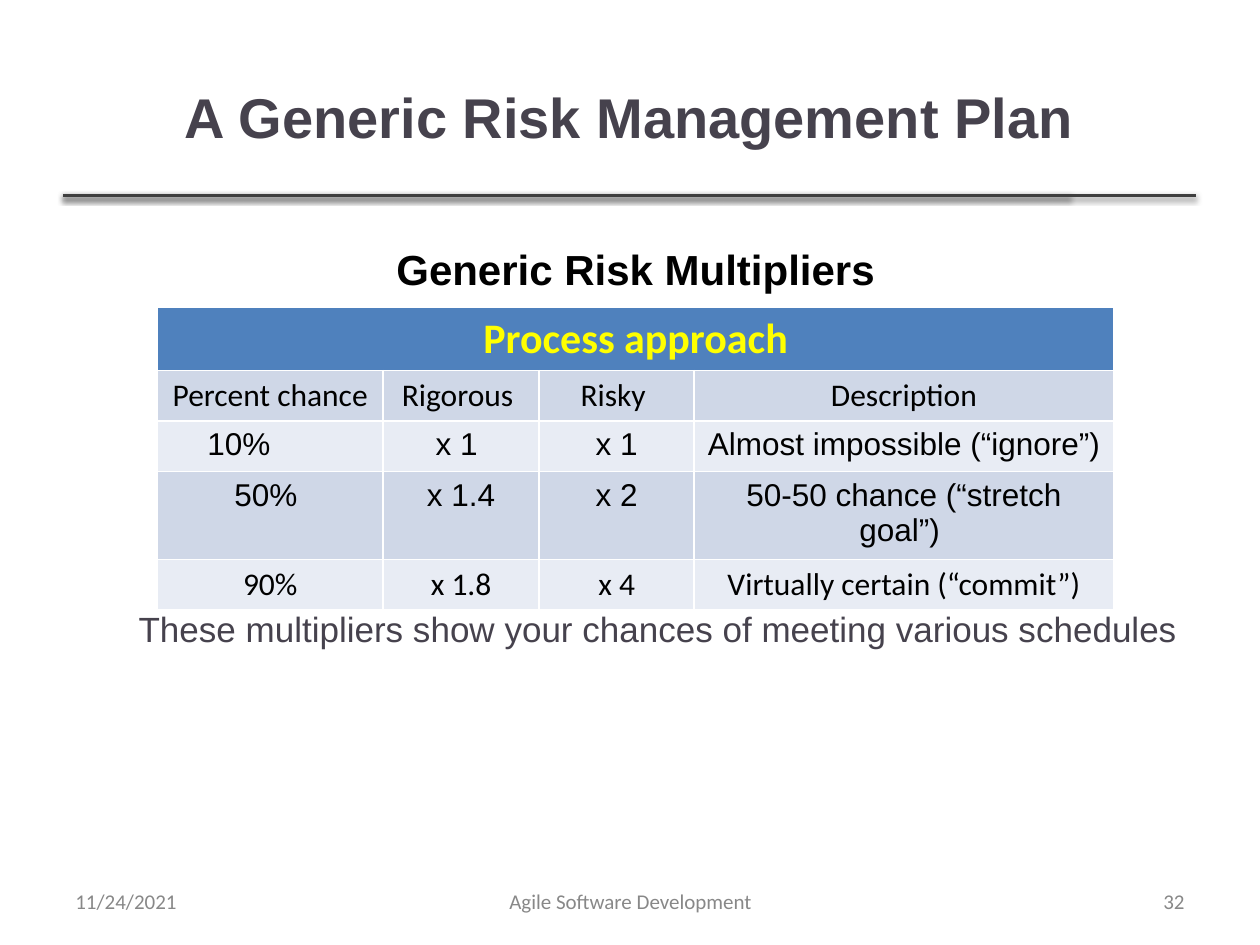
from dataclasses import dataclass

from lxml.etree import SubElement
from pptx import Presentation
from pptx.dml.color import RGBColor as Rgb
from pptx.enum.shapes import MSO_CONNECTOR as Link
from pptx.enum.text import MSO_ANCHOR as Anchor, PP_ALIGN as Align
from pptx.oxml.ns import qn
from pptx.util import Inches, Pt


@dataclass(frozen=True)
class Theme:
    ink: str = "46424D"
    black: str = "000000"
    gray: str = "888888"
    rule: str = "3F3F3F"
    gold: str = "FFFF00"
    head: str = "4F81BD"
    dark: str = "CFD7E7"
    light: str = "E8ECF4"
    sans: str = "Arial"
    body: str = "Calibri"
    title: int = 32
    sub: int = 24
    note: int = 20
    cell: int = 18
    foot: int = 12


class Deck:
    def __init__(self, theme):
        self.theme = theme
        self.file = Presentation()
        self.file.slide_width = Inches(10)
        self.file.slide_height = Inches(7.5)
        self.slide = self.file.slides.add_slide(self.file.slide_layouts[6])

    def style(self, frame, text, size, color, font, bold=False, align=Align.CENTER):
        frame.text = text
        para = frame.paragraphs[0]
        para.alignment = align
        face = para.runs[0].font
        face.name, face.size, face.bold = font, Pt(size), bold
        face.color.rgb = Rgb.from_string(color)

    def text(self, box, text, size, color, font, bold=False,
             align=Align.CENTER, anchor=Anchor.TOP, indent=0):
        frame = self.slide.shapes.add_textbox(*map(Inches, box)).text_frame
        frame.word_wrap = True
        frame.vertical_anchor = anchor
        frame.margin_left = Inches(0.1 + indent)
        self.style(frame, text, size, color, font, bold, align)

    def line(self, left, right, top):
        line = self.slide.shapes.add_connector(
            Link.STRAIGHT, *map(Inches, (left, top, right, top)))
        line.line.width = Pt(2)
        line.line.color.rgb = Rgb.from_string(self.theme.rule)
        glow = SubElement(line._element.spPr, qn("a:effectLst"))
        shade = SubElement(glow, qn("a:outerShdw"), blurRad=str(Pt(3.1)),
                           dist=str(Pt(1.6)), dir="5400000", rotWithShape="0")
        tint = SubElement(shade, qn("a:srgbClr"), val=self.theme.black)
        SubElement(tint, qn("a:alpha"), val="38000")

    def cell(self, cell, text, fill, size, color, font, bold=False):
        cell.fill.solid()
        cell.fill.fore_color.rgb = Rgb.from_string(fill)
        self.style(cell.text_frame, text, size, color, font, bold)

    def table(self, left, top, widths, high, head, rows):
        look = self.theme
        count = len(rows) + 1
        grid = self.slide.shapes.add_table(
            count, len(widths), Inches(left), Inches(top),
            Inches(sum(widths)), Inches(high * count)).table
        for col, wide in zip(grid.columns, widths):
            col.width = Inches(wide)
        grid.cell(0, 0).merge(grid.cell(0, len(widths) - 1))
        self.cell(grid.cell(0, 0), head, look.head, look.sub, look.gold,
                  look.body, True)
        for r, (font, words) in enumerate(rows, 1):
            fill = look.dark if r % 2 else look.light
            for c, word in enumerate(words):
                self.cell(grid.cell(r, c), word, fill, look.cell, look.black, font)
        return grid


def main():
    look = Theme()
    deck = Deck(look)
    for end in (8.49, 9.49):
        deck.line(0.5, end, 1.55)
    deck.text((0.5, 0.3, 8.99, 1.25), "A Generic Risk Management Plan",
              look.title, look.ink, look.sans, True, anchor=Anchor.MIDDLE)

    feet = (
        (0.5, 2.33, "11/24/2021", Align.LEFT),
        (3.42, 3.17, "Agile Software Development", Align.CENTER),
        (7.17, 2.33, "32", Align.RIGHT),
    )
    for left, wide, text, align in feet:
        deck.text((left, 6.95, wide, 0.4), text, look.foot, look.gray,
                  look.body, align=align, anchor=Anchor.MIDDLE)

    rows = (
        (look.body, ("Percent chance", "Rigorous ", "Risky ", "Description")),
        (look.sans, ("10%", "x 1 ", "x 1", "Almost impossible (“ignore”) ")),
        (look.sans, ("50% ", "x 1.4", "x 2", "50-50 chance (“stretch goal”) ")),
        (look.body, ("90%", "x 1.8", "x 4", "Virtually certain (“commit”)")),
    )
    grid = deck.table(1.25, 2.44, (1.79, 1.24, 1.23, 3.33), 0.36,
                      "Process approach", rows)
    grid.cell(2, 0).margin_right = Inches(0.6)

    deck.text((0.5, 4.77, 9, 0.64),
              "These multipliers show your chances of meeting various schedules",
              look.note, look.ink, look.sans, align=Align.LEFT, indent=0.5)
    deck.text((3.03, 1.88, 4.03, 0.5), "Generic Risk Multipliers",
              look.sub, look.black, look.sans, True)
    deck.file.save("out.pptx")


if __name__ == "__main__":
    main()
